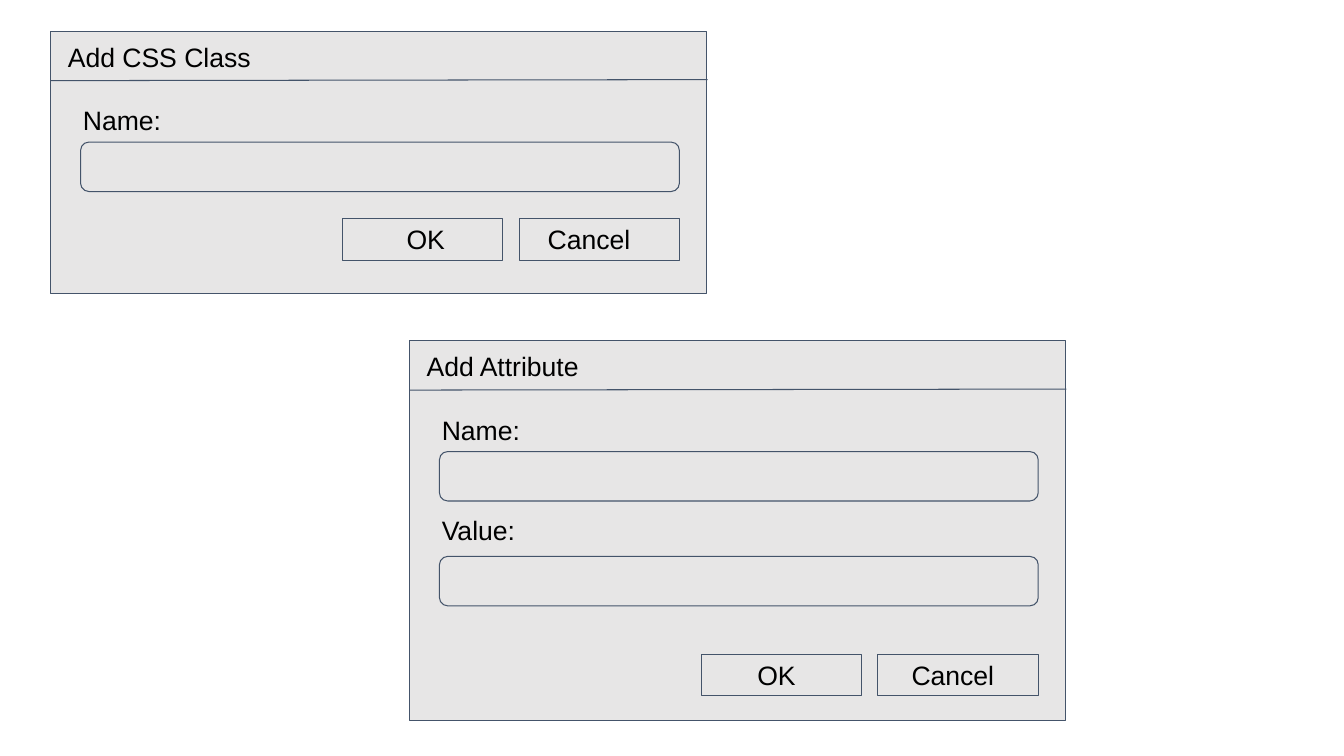
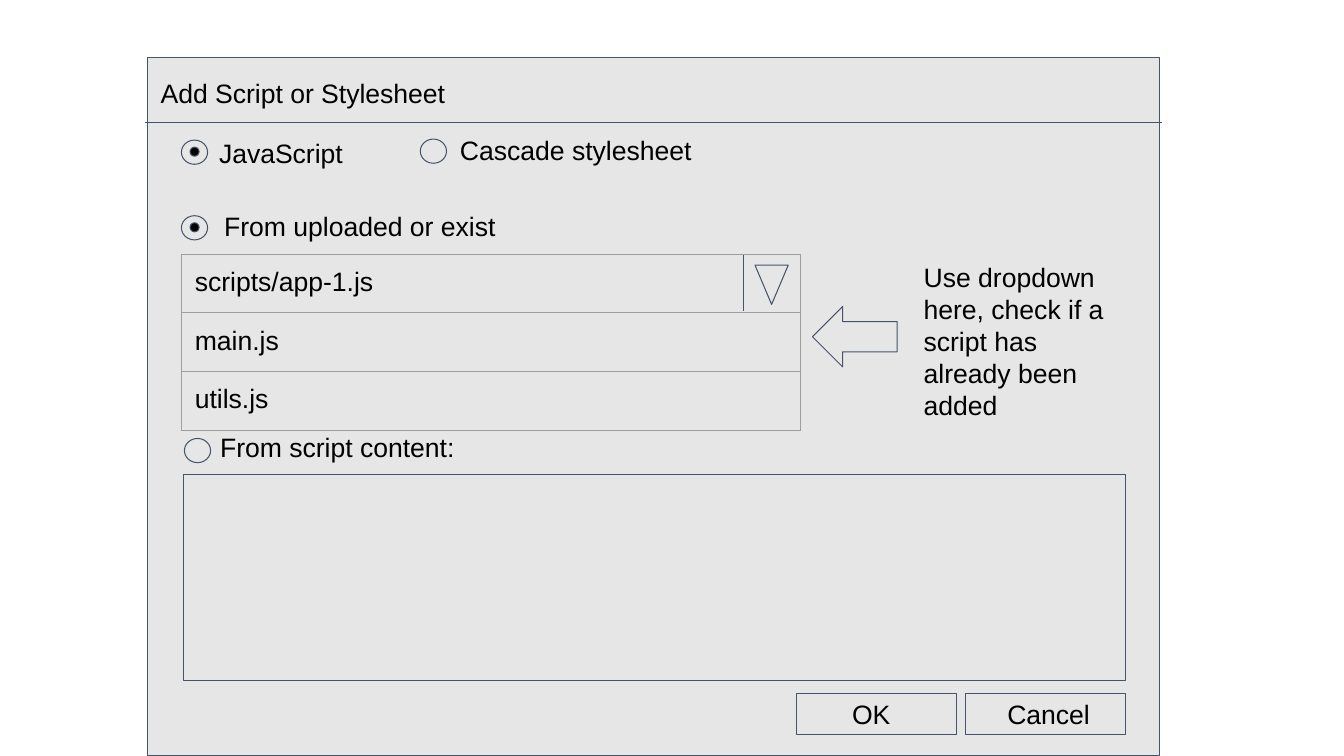
from lxml import etree
from pptx import Presentation
from pptx.dml.color import RGBColor
from pptx.enum.shapes import MSO_CONNECTOR, MSO_SHAPE
from pptx.enum.text import MSO_ANCHOR, MSO_AUTO_SIZE, PP_ALIGN
from pptx.oxml.ns import qn
from pptx.util import Inches, Pt

RECTANGLE = MSO_SHAPE.RECTANGLE
ROUNDED = MSO_SHAPE.ROUNDED_RECTANGLE
OVAL = MSO_SHAPE.OVAL
LEFT_ARROW = MSO_SHAPE.LEFT_ARROW
MERGE = MSO_SHAPE.FLOWCHART_MERGE
STRAIGHT = MSO_CONNECTOR.STRAIGHT
TOP = MSO_ANCHOR.TOP
LEFT = PP_ALIGN.LEFT
GROW = MSO_AUTO_SIZE.SHAPE_TO_FIT_TEXT

PANEL = RGBColor(0xE7, 0xE6, 0xE6)
OUTLINE = RGBColor(0x44, 0x54, 0x6A)
INK = RGBColor(0, 0, 0)
CELL_BORDER = RGBColor(0x9E, 0x9E, 0x9E)

# The page is a grid of square cells, ten to the inch.
CELL = 0.1
PAGE_COLUMNS, PAGE_ROWS = 133.33, 75
LABEL_HEIGHT = 5.9
BUTTON_HEIGHT = 4.1
INSET = 1.33


def grid(*cells):
    """Turn grid cells into lengths."""
    return [Inches(count * CELL) for count in cells]


def format_text(frame, text, size=19, font="Arial", color=INK, align=LEFT):
    """Write one formatted paragraph into a text frame."""
    para = frame.paragraphs[0]
    para.alignment = align
    span = para.add_run()
    span.text = text
    span.font.size = Pt(size)
    span.font.name = font
    span.font.color.rgb = color


class Mockup:
    """Hold the deck, its style and the current page."""

    line_width = Pt(0.75)

    def __init__(self):
        """Start an empty deck."""
        self.deck = Presentation()
        self.deck.slide_width, self.deck.slide_height = grid(PAGE_COLUMNS, PAGE_ROWS)
        self.page = None

    def new_page(self):
        """Add a blank page and make it current."""
        self.page = self.deck.slides.add_slide(self.deck.slide_layouts[6])

    def shape(self, kind, left, top, width, height, fill=PANEL):
        """Draw an outlined preset shape."""
        shape = self.page.shapes.add_shape(kind, *grid(left, top, width, height))
        shape.shadow.inherit = False
        shape.fill.solid()
        shape.fill.fore_color.rgb = fill
        shape.line.color.rgb = OUTLINE
        shape.line.width = self.line_width
        return shape

    def rule(self, left, top, right, bottom):
        """Draw a thin straight line."""
        line = self.page.shapes.add_connector(STRAIGHT, *grid(left, top, right, bottom))
        line.line.color.rgb = OUTLINE
        line.line.width = self.line_width
        etree.SubElement(line._element.spPr, qn("a:effectLst"))

    def label(self, text, left, top, width, height=LABEL_HEIGHT):
        """Add a wrapping text box."""
        box = self.page.shapes.add_textbox(*grid(left, top, width, height))
        frame = box.text_frame
        frame.word_wrap = True
        frame.auto_size = GROW
        frame.vertical_anchor = TOP
        inset, = grid(INSET)
        frame.margin_left = frame.margin_right = inset
        frame.margin_top = frame.margin_bottom = inset
        format_text(frame, text)

    def field(self, caption, left, top, gap=5.1):
        """Draw a caption with a rounded input below it."""
        self.label(caption, left, top, 11.7)
        entry = self.shape(ROUNDED, left + 1.1, top + gap, 59.4, 4.9)
        entry.adjustments[0] = 0.167

    def button(self, caption, left, top, indent, width):
        """Draw a button with an indented caption."""
        self.shape(RECTANGLE, left, top, 15.9, BUTTON_HEIGHT)
        rise = (LABEL_HEIGHT - BUTTON_HEIGHT) / 2
        self.label(caption, left + indent, top - rise, width)

    def buttons(self, left, top, step, ok_indent, cancel_indent):
        """Draw the OK and Cancel pair."""
        self.button("OK", left, top, ok_indent, 7.4)
        self.button("Cancel", left + step, top, cancel_indent, 20.6)

    def dialog(self, title, left, top, height):
        """Draw a small dialog with its title bar."""
        self.shape(RECTANGLE, left, top, 65.1, height)
        self.rule(left, top + 4.9, left + 65.2, top + 4.8)
        self.label(title, left + 0.4, top - 0.4, 26.7)

    def radio(self, left, top, chosen=False):
        """Draw a radio button, with a dot when chosen."""
        self.shape(OVAL, left, top, 2.6, 2.4)
        if chosen:
            self.shape(OVAL, left + 0.85, top + 0.7, 0.9, 0.9, fill=INK)

    def options(self, names, left, top, width, row_height):
        """Draw a one-column table of choices."""
        frame = self.page.shapes.add_table(
            len(names), 1, *grid(left, top, width, row_height * len(names)))
        table = frame.table
        table.first_row = table.horz_banding = False
        for index, name in enumerate(names):
            table.rows[index].height, = grid(row_height)
            cell = table.cell(index, 0)
            inset, = grid(INSET)
            cell.margin_left = cell.margin_right = inset
            cell.margin_top = cell.margin_bottom = inset
            format_text(cell.text_frame, name)
            self.borders(cell)
            cell.fill.background()

    def borders(self, cell):
        """Outline every side of a table cell."""
        properties = cell._tc.get_or_add_tcPr()
        for side in ("lnL", "lnR", "lnT", "lnB"):
            edge = etree.SubElement(properties, qn(f"a:{side}"), w=str(self.line_width))
            fill = etree.SubElement(edge, qn("a:solidFill"))
            etree.SubElement(fill, qn("a:srgbClr"), val=str(CELL_BORDER))


def small_dialogs(mockup):
    """Build the page with the class and attribute dialogs."""
    mockup.new_page()
    left, top = 5, 3.1
    mockup.dialog("Add CSS Class", left, top, 26)
    mockup.field("Name:", left + 1.9, top + 5.9)
    mockup.buttons(left + 29, top + 18.6, 17.5, 5, 1.5)

    left, top = 40.6, 33.8
    mockup.dialog("Add Attribute", left, top, 37.7)
    mockup.field("Name:", left + 1.9, top + 5.9)
    mockup.field("Value:", left + 1.9, top + 15.9, gap=5.5)
    mockup.buttons(left + 29, top + 31.1, 17.5, 4.2, 2)


def script_dialog(mockup):
    """Build the page with the script dialog."""
    mockup.new_page()
    mockup.shape(RECTANGLE, 14.6, 5.7, 100.4, 69.3)
    mockup.label("Add Script or Stylesheet", 14.6, 6.3, 101.5)
    mockup.rule(14.4, 12.2, 115.3, 12.2)

    mockup.radio(18, 13.9, chosen=True)
    mockup.label("JavaScript", 20.4, 12.3, 17.6)
    mockup.radio(41.7, 13.8)
    mockup.label("Cascade stylesheet", 44.3, 12, 35.1)

    mockup.radio(18, 21.4, chosen=True)
    mockup.label("From uploaded or exist", 20.9, 19.5, 29.9)
    mockup.options(["scripts/app-1.js", "main.js", "utils.js"], 18, 25.2, 61.4, 5.82)
    mockup.rule(73.8, 25.3, 73.8, 30.9)
    mockup.shape(MERGE, 74.9, 26.3, 3.3, 3.9)
    mockup.shape(LEFT_ARROW, 80.6, 30.4, 8.4, 6)
    mockup.label("Use dropdown here, check if a script has already been added",
                 90.3, 24.6, 20.8, 18.7)

    mockup.radio(18.3, 43.5)
    mockup.label("From script content:", 20.5, 41.4, 45.2)
    mockup.shape(RECTANGLE, 18.2, 47.1, 93.5, 20.4)
    mockup.buttons(79, 68.8, 16.8, 4.2, 2.8)


def main():
    """Build and save the deck."""
    mockup = Mockup()
    small_dialogs(mockup)
    script_dialog(mockup)
    mockup.deck.save("out.pptx")


main()
